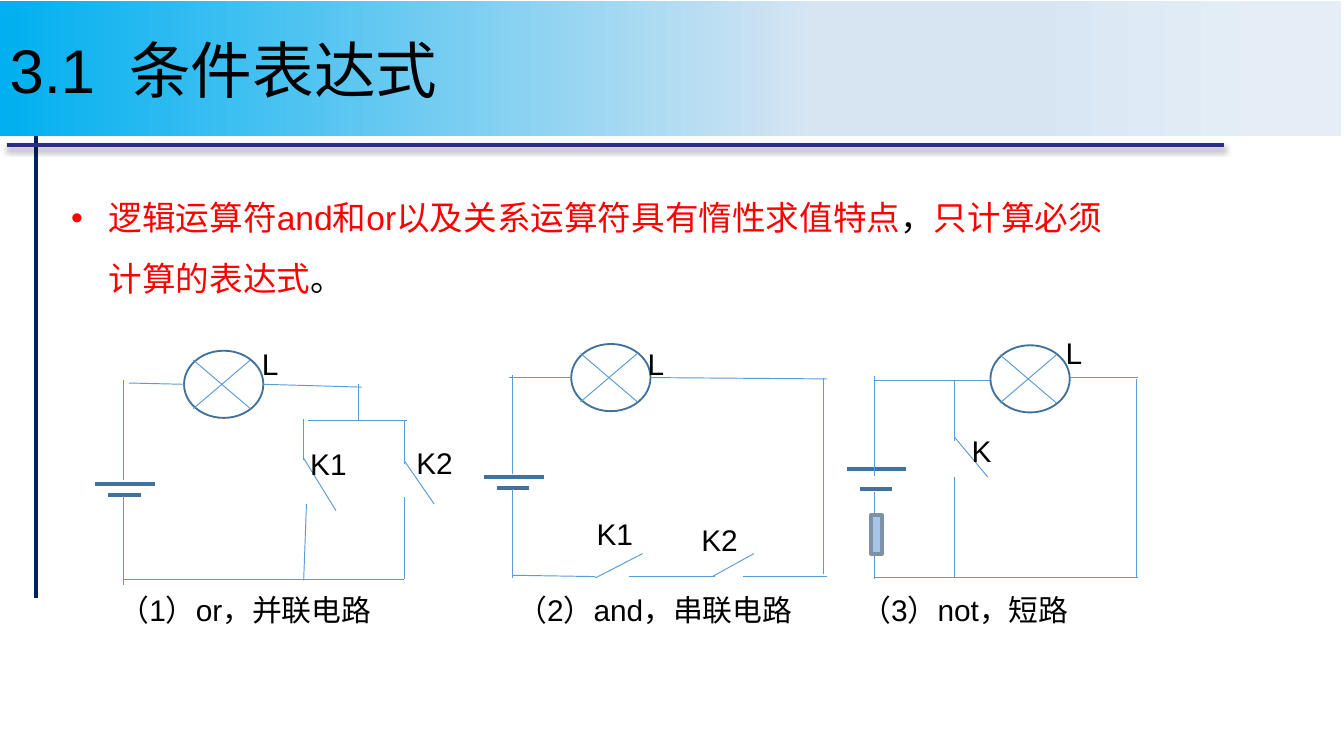
"""Build a slide on lazy evaluation, illustrated by three switch circuits."""
import dataclasses

import lxml.etree
import pptx
import pptx.dml.color
import pptx.enum.shapes
import pptx.enum.text
import pptx.oxml.ns
import pptx.util

Pt = pptx.util.Pt
qn = pptx.oxml.ns.qn


@dataclasses.dataclass(frozen=True)
class Theme:
    font: str = "Arial"
    text: str = "000000"
    accent: str = "FF0000"
    wire: str = "5B9BD5"
    symbol: str = "42719B"
    resistor_fill: str = "A7C6E5"
    resistor_line: str = "7C92A9"
    side_rule: str = "002060"
    title_rule: str = "2D2D89"
    banner: tuple = ((5, "E5EEF7"), (24, "D7E5F3"), (39, "D7E5F3"), (100, "00B0F0"))
    title_size: float = 33
    body_size: float = 18
    label_size: float = 16
    thin: float = 0.5
    outline: float = 1
    thick: float = 2.25


THEME = Theme()
LAMP_WIDTH, LAMP_HEIGHT, LAMP_INSET = 42.5, 36, 5
NO_INSETS = (0, 0, 0, 0)
SIDE_INSETS = (7.2, 0, 7.2, 0)

CIRCUITS = [
    {
        "battery": (51, 259.2, 5.8),
        "lamp": (98.6, 187.9),
        "wires": [
            (66.2, 265.7, 66.2, 313.2), (66.2, 257, 66.2, 203.8),
            (69.1, 205.2, 98.6, 205.9), (141.1, 205.9, 193.7, 207.4),
            (192.2, 205.9, 192.2, 225.4), (164.9, 225.4, 218.2, 225.4),
            (162.7, 224.6, 162.7, 246.2), (216.7, 225.4, 216.7, 248.4),
            (162.7, 245.5, 180, 273.6), (216.7, 247, 232.6, 270),
            (164.2, 270, 162.7, 311), (216.7, 266.4, 216.7, 310.3),
            (66.2, 310.3, 216.7, 310.3),
        ],
        "lamp_label": (133.2, 185),
        "switches": [("K2", 216, 234.7), ("K1", 159.1, 235.4)],
        "caption": ("（1）or，并联电路", 64.1, 159.1),
    },
    {
        "battery": (259.2, 255.6, 5.8),
        "lamp": (306, 184.3),
        "wires": [
            (274.3, 262.1, 274.3, 309.6), (274.3, 254.2, 274.3, 200.9),
            (272.9, 202.3, 306, 202.3), (348.5, 202.3, 442.8, 203),
            (274.3, 308.2, 319, 308.9), (319, 309.6, 344.2, 296.6),
            (337, 308.9, 383, 308.9), (381.6, 308.9, 403.9, 296.6),
            (398.2, 308.9, 442.8, 308.9), (441.4, 307.4, 441.4, 202.3),
        ],
        "lamp_label": (339.8, 185),
        "switches": [("K1", 312.5, 272.9), ("K2", 368.6, 275.8)],
        "caption": ("（2）and，串联电路", 277.2, 159.1),
    },
    {
        "battery": (453.6, 251.3, 10.8),
        "lamp": (530.6, 185),
        "wires": [
            (468.7, 263.5, 468.7, 310.3), (468.7, 254.9, 468.7, 201.6),
            (468.7, 203.8, 530.6, 203.8), (573.1, 202.3, 609.8, 202.3),
            (468.7, 309.6, 609.8, 309.6), (609.1, 308.9, 609.1, 203),
            (511.2, 203.8, 511.2, 236.2), (511.2, 255.6, 511.2, 309.6),
            (511.2, 234, 529.2, 255.6),
        ],
        "lamp_label": (563.8, 179.3),
        "switches": [("K", 513.4, 228.2)],
        "caption": ("（3）not，短路", 461.5, 139),
    },
]


def color(value):
    """Turn a hex string into a colour object."""
    return pptx.dml.color.RGBColor.from_string(value)


def apply(target, formats):
    """Set every attribute named in a dict of format values."""
    for name, value in formats.items():
        setattr(target, name, value)


def add_line(shapes, ends, tint=THEME.wire, width=THEME.thin):
    """Draw a straight line without a shadow and return its effect list."""
    line = shapes.add_connector(
        pptx.enum.shapes.MSO_CONNECTOR.STRAIGHT, *(Pt(end) for end in ends))
    line.line.color.rgb = color(tint)
    line.line.width = Pt(width)
    return lxml.etree.SubElement(line._element.spPr, qn("a:effectLst"))


def add_shape(shapes, kind, bounds, fill=None, line=None, width=THEME.outline):
    """Draw a flat preset shape with an optional fill and outline."""
    shape = shapes.add_shape(kind, *(Pt(value) for value in bounds))
    shape.shadow.inherit = False
    if fill:
        shape.fill.solid()
        shape.fill.fore_color.rgb = color(fill)
    else:
        shape.fill.background()
    if line:
        shape.line.color.rgb = color(line)
        shape.line.width = Pt(width)
    else:
        shape.line.fill.background()
    return shape


def write_text(box, spans, size, insets=(7.2, 3.6, 7.2, 3.6), anchor="TOP"):
    """Fill a box with one left-aligned paragraph of coloured spans."""
    sides = ("margin_left", "margin_top", "margin_right", "margin_bottom")
    formats = {side: Pt(inset) for side, inset in zip(sides, insets)}
    formats["word_wrap"] = True
    formats["vertical_anchor"] = getattr(pptx.enum.text.MSO_ANCHOR, anchor)
    apply(box.text_frame, formats)
    para = box.text_frame.paragraphs[0]
    para.alignment = pptx.enum.text.PP_ALIGN.LEFT
    for text, tint in spans:
        span = para.add_run()
        span.text = text
        apply(span.font, {"name": THEME.font, "size": Pt(size)})
        span.font.color.rgb = color(tint)
    return para


def add_label(shapes, text, bounds, insets):
    """Add a circuit label or caption."""
    box = shapes.add_textbox(*(Pt(value) for value in bounds))
    write_text(box, [(text, THEME.text)], THEME.label_size, insets)


def add_title(shapes):
    """Draw the gradient banner with the slide title."""
    banner = add_shape(shapes, pptx.enum.shapes.MSO_SHAPE.RECTANGLE, (-0.7, 0.7, 719.3, 72))
    banner.fill.gradient()
    gradient = banner._element.spPr.find(qn("a:gradFill"))
    stops = gradient.find(qn("a:gsLst"))
    for stop in list(stops):
        stops.remove(stop)
    for position, tint in THEME.banner:
        stop = lxml.etree.SubElement(stops, qn("a:gs"), pos=str(position * 1000))
        lxml.etree.SubElement(stop, qn("a:srgbClr"), val=tint)
    gradient.find(qn("a:lin")).set("ang", str(180 * 60000))
    write_text(banner, [("3.1  条件表达式", THEME.text)], THEME.title_size,
               (5.8, 2.9, 5.8, 2.9), "MIDDLE")


def add_rules(shapes):
    """Draw the side rule and the shadowed rule under the title."""
    add_line(shapes, (19.4, 58.3, 19.4, 320.4), THEME.side_rule, THEME.thick)
    effects = add_line(shapes, (3.6, 77.8, 655.9, 77.8), THEME.title_rule, THEME.thick)
    shadow = lxml.etree.SubElement(
        effects, qn("a:outerShdw"), blurRad=str(Pt(3.1)), dist=str(Pt(1.8)),
        dir=str(90 * 60000), rotWithShape="0")
    tint = lxml.etree.SubElement(shadow, qn("a:srgbClr"), val=THEME.text)
    lxml.etree.SubElement(tint, qn("a:alpha"), val="35000")


def add_body(shapes):
    """Add the bulleted statement."""
    box = shapes.add_textbox(Pt(31), Pt(91.4), Pt(571.7), Pt(267.1))
    para = write_text(box, [
        ("逻辑运算符and和or以及关系运算符具有惰性求值特点", THEME.accent),
        ("，", THEME.text),
        ("只计算必须计算的表达式", THEME.accent),
        ("。", THEME.text),
    ], THEME.body_size)
    para.line_spacing = 1.5
    properties = para._p.get_or_add_pPr()
    properties.set("marL", str(Pt(20.2)))
    properties.set("indent", str(-Pt(20.2)))
    lxml.etree.SubElement(properties, qn("a:buFont"), typeface=THEME.font)
    lxml.etree.SubElement(properties, qn("a:buChar"), char="•")


def add_battery(shapes, left, top, gap):
    """Draw the long and short plates of a battery."""
    for start, length, height in ((left, 32, top), (left + 7, 17.3, top + gap)):
        add_line(shapes, (start, height, start + length, height), THEME.symbol, THEME.thick)


def add_lamp(shapes, left, top):
    """Draw a lamp as a crossed ellipse."""
    add_shape(shapes, pptx.enum.shapes.MSO_SHAPE.OVAL,
              (left, top, LAMP_WIDTH, LAMP_HEIGHT), line=THEME.symbol)
    start, end = left + LAMP_INSET, left + LAMP_WIDTH - LAMP_INSET - 2
    upper, lower = top + LAMP_INSET, top + LAMP_HEIGHT - LAMP_INSET
    add_line(shapes, (start, upper, end, lower))
    add_line(shapes, (end, upper, start, lower))


def add_circuit(shapes, circuit):
    """Draw one grouped circuit with its labels and caption."""
    parts = shapes.add_group_shape().shapes
    add_battery(parts, *circuit["battery"])
    add_lamp(parts, *circuit["lamp"])
    for ends in circuit["wires"]:
        add_line(parts, ends)
    add_label(parts, "L", (*circuit["lamp_label"], 34.6, 18), SIDE_INSETS)
    for name, left, top in circuit["switches"]:
        add_label(parts, name, (left, top, 42.5, 27.4), (7.2, 3.6, 7.2, 3.6))
    caption, left, width = circuit["caption"]
    add_label(parts, caption, (left, 316.8, width, 20.9), NO_INSETS)


def main():
    """Assemble and save the deck."""
    deck = pptx.Presentation()
    apply(deck, {"slide_width": Pt(720), "slide_height": Pt(405)})
    page = deck.slides.add_slide(deck.slide_layouts[6])
    add_rules(page.shapes)
    add_body(page.shapes)
    add_title(page.shapes)
    for circuit in CIRCUITS:
        add_circuit(page.shapes, circuit)
    add_shape(page.shapes, pptx.enum.shapes.MSO_SHAPE.RECTANGLE, (466.6, 275.8, 5.8, 20.9),
              THEME.resistor_fill, THEME.resistor_line, 2)
    deck.save("out.pptx")


if __name__ == "__main__":
    main()
